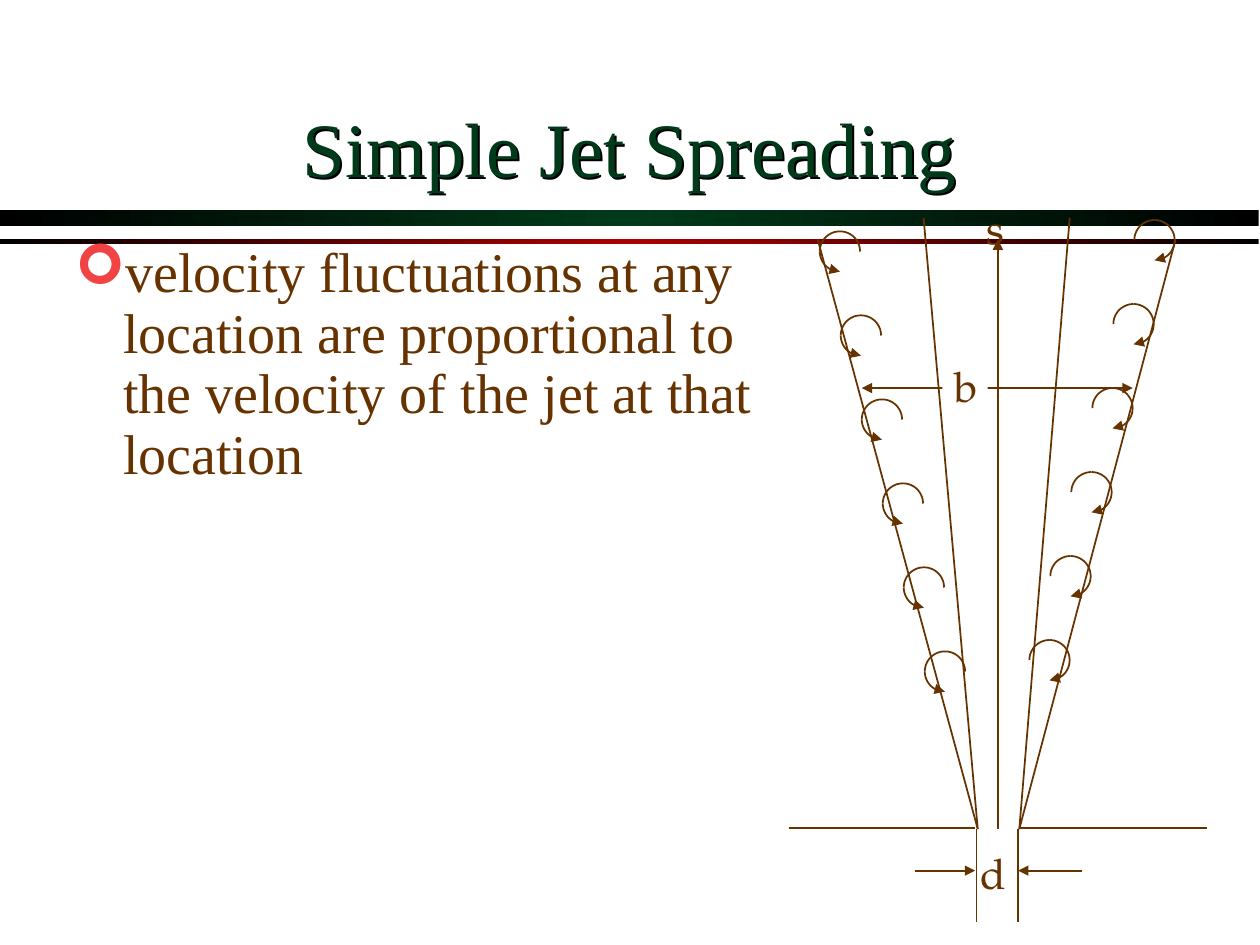
from math import cos, radians, sin

from lxml import etree
from pptx import Presentation
from pptx.dml.color import RGBColor
from pptx.enum import shapes as sh, text as tx
from pptx.oxml.ns import qn
from pptx.util import Inches, Pt

THEME = {
    "ink": "663300", "title": "003A1A", "red": "AC0000", "mark": "F14343",
    "dark": "000000", "paper": "FFFFFF",
    "serif": "Times New Roman", "label": "TeX Gyre Pagella",
    "bullet": "Wingdings",
    "big": 44, "body": 32, "small": 24, "line": 1,
}

TITLE = "Simple Jet Spreading"
BODY = ("velocity fluctuations at any location are proportional to "
        "the velocity of the jet at that location")

# Bars: top, height, middle colour
BARS = [(1.67, 0.12, "title"), (1.9, 0.04, "red")]

# Lines: from, to, arrow ends
WIDTH = ((6.84, 3.08), (8.99, 3.08), ("head", "tail"))
LINES = [
    ((6.26, 6.57), (7.74, 6.57), ()),          # floor
    ((8.09, 6.57), (9.58, 6.57), ()),
    ((7.92, 6.58), (7.92, 1.9), ("tail",)),    # axis
    ((7.76, 6.58), (6.49, 1.9), ()),           # jet edges
    ((8.09, 6.58), (9.33, 1.9), ()),
    ((7.76, 6.58), (7.33, 1.73), ()),          # inner edges
    ((8.09, 6.58), (8.49, 1.73), ()),
    ((7.75, 6.58), (7.75, 7.32), ()),          # nozzle
    ((8.08, 6.58), (8.08, 7.32), ()),
    ((7.26, 6.91), (7.74, 6.91), ("tail",)),   # nozzle width
    ((8.59, 6.91), (8.08, 6.91), ("tail",)),
]

# Eddies: centre of the lowest, side, quarters as (start angle, arrow ends)
EDDIES = [
    (7.5, 5.33, -1, [(180, ()), (90, ("head",)), (270, ())]),
    (8.33, 5.24, 1, [(270, ()), (0, ("tail",)), (180, ())]),
]
COUNT, RADIUS, TURN = 6, 0.16, 5
STEP_X, STEP_Y = 1 / 6, 2 / 3

# Labels: text, left, top, width
B_LABEL = ("b", 7.48, 2.81, 0.36)
LABELS = [("d", 7.68, 6.68, 0.4), ("s", 7.73, 1.56, 0.34)]


def color(key):
    return RGBColor.from_string(THEME[key])


def stroke(shape, ends=()):
    shape.line.color.rgb = color("ink")
    shape.line.width = Pt(THEME["line"])
    ln = shape.line._get_or_add_ln()
    for end in ends:
        etree.SubElement(ln, qn(f"a:{end}End"), type="triangle")


def add_bar(slide, top, high, mid):
    bar = slide.shapes.add_shape(sh.MSO_SHAPE.RECTANGLE, 0, Inches(top),
                                 Inches(9.99), Inches(high))
    bar.shadow.inherit = False
    bar.line.fill.background()
    bar.fill.gradient()
    bar.fill.gradient_angle = 0
    stops = bar.fill._xPr.find(".//" + qn("a:gsLst"))
    for old in list(stops):
        stops.remove(old)
    for pos, key in ((0, "dark"), (50000, mid), (100000, "dark")):
        stop = etree.SubElement(stops, qn("a:gs"), pos=str(pos))
        etree.SubElement(stop, qn("a:srgbClr"), val=THEME[key])


def add_line(slide, start, stop, ends):
    line = slide.shapes.add_connector(sh.MSO_CONNECTOR.STRAIGHT,
                                      *map(Inches, start + stop))
    stroke(line, ends)
    etree.SubElement(line._element.spPr, qn("a:effectLst"))


def add_arc(slide, mid_x, mid_y, first, ends):
    """Draw a quarter circle clockwise from the first angle."""
    dots = [(Inches(mid_x + RADIUS * cos(radians(a))),
             Inches(mid_y + RADIUS * sin(radians(a))))
            for a in range(first, first + 91, TURN)]
    pen = slide.shapes.build_freeform(*dots[0])
    pen.add_line_segments(dots[1:], close=False)
    arc = pen.convert_to_shape()
    arc.fill.background()
    stroke(arc, ends)
    arc.shadow.inherit = False


def add_text(slide, words, box, wrap=True):
    shape = slide.shapes.add_textbox(*map(Inches, box))
    shape.text_frame.word_wrap = wrap
    para = shape.text_frame.paragraphs[0]
    para.text = words
    return shape, para


def set_font(para, face, size, ink):
    para.font.name = THEME[face]
    para.font.size = Pt(THEME[size])
    para.font.color.rgb = color(ink)


def add_label(slide, words, left, top, wide, wrap=False):
    shape, para = add_text(slide, words, (left, top, wide, 0.5), wrap)
    set_font(para, "label", "small", "ink")
    return shape


def add_title(slide):
    shape, para = add_text(slide, TITLE, (0.75, 0.33, 8.5, 1.25))
    shape.text_frame.vertical_anchor = tx.MSO_ANCHOR.BOTTOM
    para.alignment = tx.PP_ALIGN.CENTER
    set_font(para, "serif", "big", "title")
    # An unfilled box casts its shadow from the letters
    effect = etree.SubElement(shape._element.spPr, qn("a:effectLst"))
    shade = etree.SubElement(effect, qn("a:outerShdw"), algn="ctr",
                             dist=str(Inches(0.02)), dir="2700000")
    etree.SubElement(shade, qn("a:srgbClr"), val=THEME["dark"])


def add_body(slide):
    shape, para = add_text(slide, BODY, (0.5, 1.89, 5.58, 2.17))
    para.line_spacing = 0.9
    props = para._p.get_or_add_pPr()
    props.set("marL", str(Inches(0.38)))
    props.set("indent", str(Inches(-0.38)))
    tint = etree.SubElement(props, qn("a:buClr"))
    etree.SubElement(tint, qn("a:srgbClr"), val=THEME["mark"])
    etree.SubElement(props, qn("a:buFont"), typeface=THEME["bullet"])
    etree.SubElement(props, qn("a:buChar"), char="➢")
    set_font(para, "serif", "body", "ink")


def main():
    deck = Presentation()
    deck.slide_width, deck.slide_height = Inches(10), Inches(7.5)
    slide = deck.slides.add_slide(deck.slide_layouts[6])

    # Header bars
    for bar in BARS:
        add_bar(slide, *bar)

    # Jet width, with its label set into the line
    add_line(slide, *WIDTH)
    label = add_label(slide, *B_LABEL, wrap=True)
    label.fill.solid()
    label.fill.fore_color.rgb = color("paper")
    add_title(slide)

    # Jet
    for line in LINES:
        add_line(slide, *line)
    for x, y, side, arcs in EDDIES:
        for i in range(COUNT):
            for first, ends in arcs:
                add_arc(slide, x + side * i * STEP_X, y - i * STEP_Y,
                        first, ends)

    # Text
    add_body(slide)
    for item in LABELS:
        add_label(slide, *item)

    deck.save("out.pptx")


if __name__ == "__main__":
    main()
